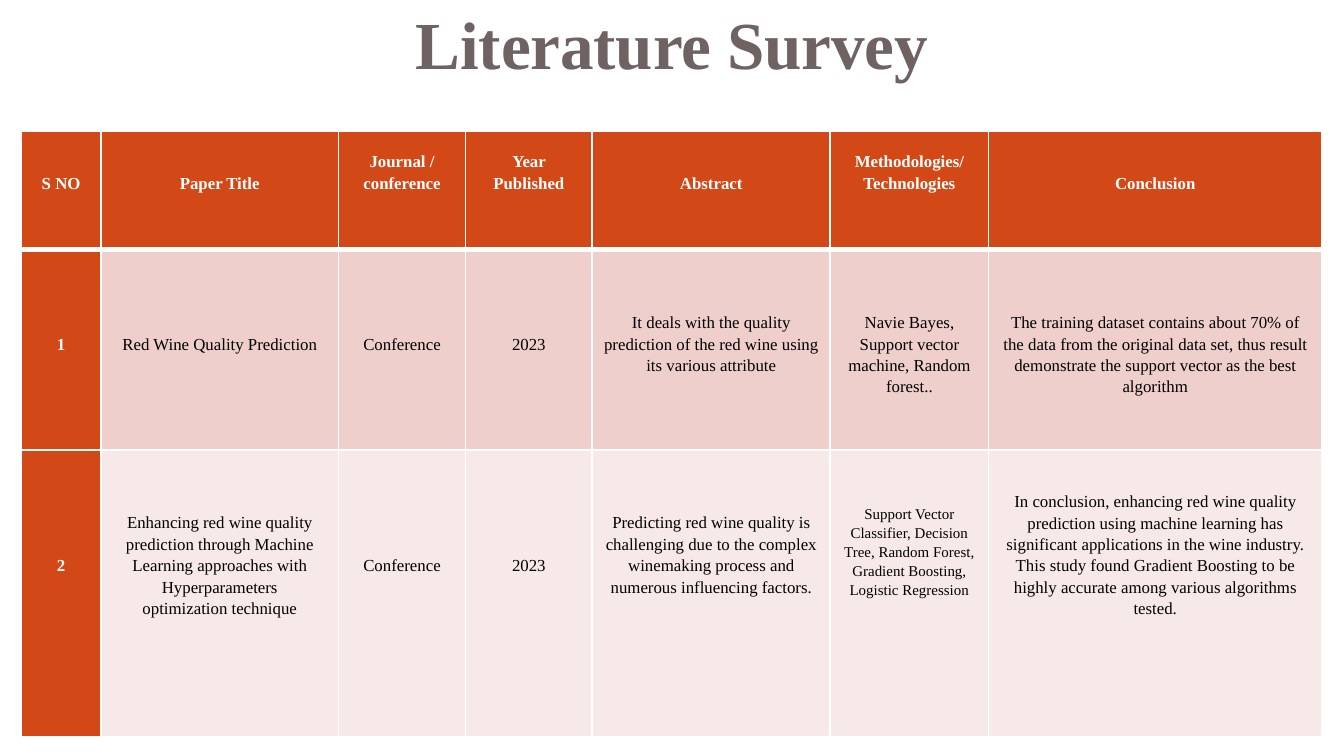
import pptx
import pptx.util
import pptx.dml.color
import pptx.enum.text
import pptx.oxml
from lxml import etree

Inches, Pt = pptx.util.Inches, pptx.util.Pt
ENUM = pptx.enum.text
FONT = "Times New Roman"
WIDE = 10
HIGH = WIDE * 9 / 16
UNIT = 0.59  # grid column, inches
COLS = [1, 3, 1.6, 1.6, 3, 2, 4.2]
ROWS = [0.88, 1.49, 2.13]
FILLS = ["D34817", "EFCFCC", "F7E9E8"]
LEAD = 1.27  # line height as a share of the text size
RISE = 1.6  # points the first line is lifted


def color(code):
    return pptx.dml.color.RGBColor.from_string(code)


def write(para, text, size, code, bold):
    para.alignment = ENUM.PP_ALIGN.CENTER
    run = para.add_run()
    run.text = text
    run.font.name, run.font.size, run.font.bold = FONT, Pt(size), bold
    run.font.color.rgb = color(code)
    return run


deck = pptx.Presentation()
deck.slide_width, deck.slide_height = Inches(WIDE), Inches(HIGH)
slide = deck.slides.add_slide(deck.slide_layouts[6])

# Title, slightly tightened
box = slide.shapes.add_textbox(0, Inches(-0.28), deck.slide_width, Inches(0.9))
frame = box.text_frame
frame.word_wrap = True
frame.vertical_anchor = ENUM.MSO_ANCHOR.BOTTOM
frame.margin_left = frame.margin_right = frame.margin_top = frame.margin_bottom = 0
title = write(frame.paragraphs[0], "Literature Survey", 36, "6E6263", True)
title._r.get_or_add_rPr().set("spc", "-10")

# Each cell: lines of space above the text, then its paragraphs
data = [
    [(2, "S NO"), (2, "Paper Title"), (1, "Journal / conference"),
     (1, "Year Published"), (2, "Abstract"),
     (1, "Methodologies/Technologies"), (2, "Conclusion")],
    [(4, "1"), (4, "Red Wine Quality Prediction"), (4, "Conference"), (4, "2023"),
     (3, "It deals with the quality prediction of the red wine using its various attribute"),
     (3, "Navie Bayes, Support vector machine, Random forest.."),
     (3, "The training dataset contains about 70% of the data from the original "
         "data set, thus result demonstrate the support vector as the best algorithm")],
    [(5, "2"),
     (3, "Enhancing red wine quality prediction through Machine Learning "
         "approaches with Hyperparameters", "optimization technique"),
     (5, "Conference"), (5, "2023"),
     (3, "Predicting red wine quality is challenging due to the complex "
         "winemaking process and numerous influencing factors."),
     (3, "Support Vector Classifier, Decision Tree, Random Forest, "
         "Gradient Boosting, Logistic Regression"),
     (2, "In conclusion, enhancing red wine quality prediction using machine "
         "learning has significant applications in the wine industry. This study "
         "found Gradient Boosting to be highly accurate among various algorithms tested.")],
]

# Table grid
table = slide.shapes.add_table(
    len(ROWS), len(COLS), Inches(0.16), Inches(0.98),
    Inches(UNIT * sum(COLS)), Inches(sum(ROWS))).table
for col, span in zip(table.columns, COLS):
    col.width = Inches(UNIT * span)
for row, high in zip(table.rows, ROWS):
    row.height = Inches(high)

# Cells
for r, line in enumerate(data):
    for c, (gap, *paras) in enumerate(line):
        cell = table.cell(r, c)
        head = r == 0 or c == 0
        size = 8 if (r, c) == (2, 5) else 9

        # White rules, thicker below the header
        for side in "LRTB":
            thick = (r, side) in [(0, "B"), (1, "T")]
            rule = etree.SubElement(cell._tc.get_or_add_tcPr(),
                                    pptx.oxml.ns.qn("a:ln" + side),
                                    w=str(Pt(3 if thick else 1)))
            paint = etree.SubElement(rule, pptx.oxml.ns.qn("a:solidFill"))
            etree.SubElement(paint, pptx.oxml.ns.qn("a:srgbClr"), val="FFFFFF")

        cell.fill.solid()
        cell.fill.fore_color.rgb = color(FILLS[0] if head else FILLS[r])
        # The last column is inset a little more to keep its line breaks
        cell.margin_left = cell.margin_right = Inches(0.09 if c == 6 else 0.07)
        cell.margin_top, cell.margin_bottom = Pt(gap * size * LEAD - RISE), 0
        for i, text in enumerate(paras):
            para = cell.text_frame.add_paragraph() if i else cell.text_frame.paragraphs[0]
            para.line_spacing = 1.15
            write(para, text, size, "FFFFFF" if head else "000000", head)

deck.save("out.pptx")
